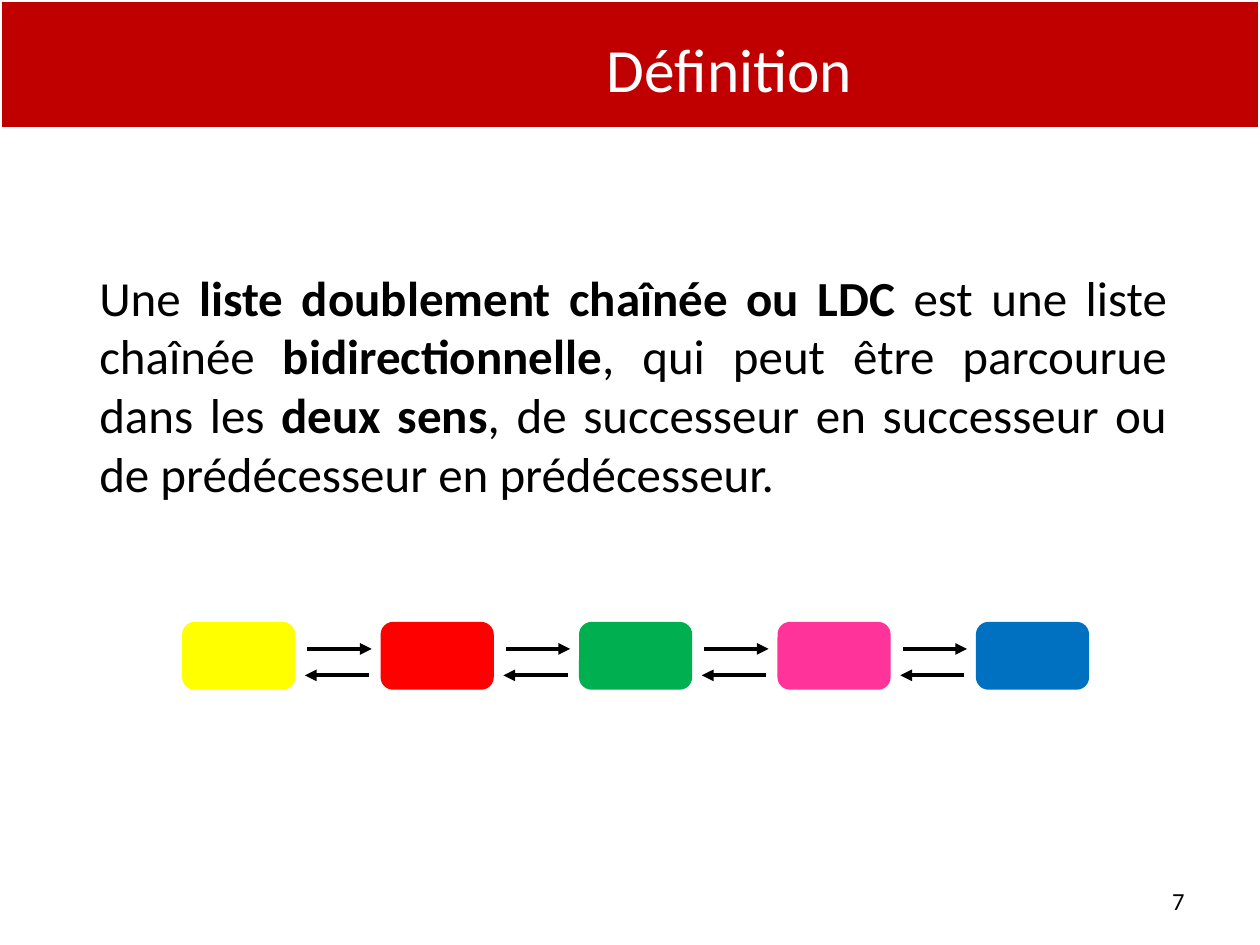
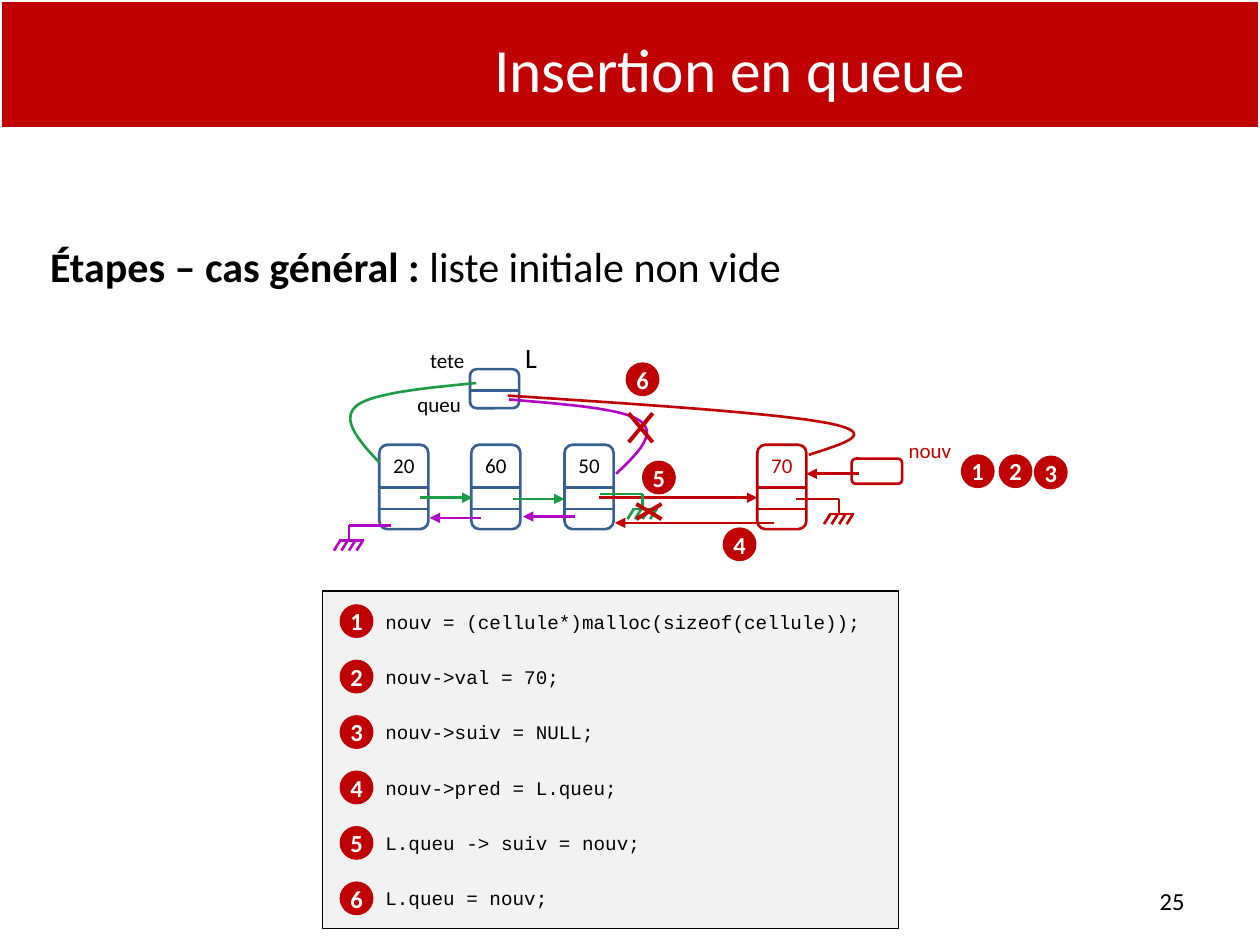
from dataclasses import dataclass
from typing import Any

from lxml import etree
from pptx import Presentation
from pptx.dml.color import RGBColor
from pptx.enum import shapes, text
from pptx.oxml import ns
from pptx.util import Inches, Pt

RED = RGBColor(0xC0, 0x00, 0x00)
WHITE = RGBColor(0xFF, 0xFF, 0xFF)
BLACK = RGBColor(0x00, 0x00, 0x00)
GREY = RGBColor(0xF2, 0xF2, 0xF2)
BLUE = RGBColor(0x36, 0x60, 0x92)
GREEN = RGBColor(0x1C, 0x9C, 0x47)
PURPLE = RGBColor(0xB1, 0x05, 0xC3)
NODE_COLOURS = (
    RGBColor(0xFF, 0xFF, 0x00), RGBColor(0xFF, 0x00, 0x00),
    RGBColor(0x00, 0xB0, 0x50), RGBColor(0xFF, 0x33, 0x99),
    RGBColor(0x00, 0x70, 0xC0),
)

RECT = shapes.MSO_SHAPE.RECTANGLE
ROUNDED = shapes.MSO_SHAPE.ROUNDED_RECTANGLE
OVAL = shapes.MSO_SHAPE.OVAL
LEFT, CENTER = text.PP_ALIGN.LEFT, text.PP_ALIGN.CENTER
RIGHT, JUSTIFY = text.PP_ALIGN.RIGHT, text.PP_ALIGN.JUSTIFY
TOP, MIDDLE = text.MSO_ANCHOR.TOP, text.MSO_ANCHOR.MIDDLE

CELL_W, CELL_H = 0.39, 0.67
BADGE = 0.24
CODE = (
    "nouv = (cellule*)malloc(sizeof(cellule));",
    "nouv->val = 70;",
    "nouv->suiv = NULL;",
    "nouv->pred = L.queu;",
    "L.queu -> suiv = nouv;",
    "L.queu = nouv;",
)


def setup_frame(tf, anchor=TOP, margins=(0.1, 0.05), wrap=True):
    """Set anchor, wrapping and horizontal and vertical margins."""
    tf.word_wrap = wrap
    tf.vertical_anchor = anchor
    tf.margin_left = tf.margin_right = Inches(margins[0])
    tf.margin_top = tf.margin_bottom = Inches(margins[1])


def write(p, runs, size, colour=BLACK, align=LEFT, font="Calibri"):
    """Fill a paragraph with (text, bold) runs."""
    p.alignment = align
    for content, bold in runs:
        r = p.add_run()
        r.text = content
        r.font.name, r.font.size, r.font.bold = font, Pt(size), bold
        r.font.color.rgb = colour


def indent(p, left, first=0):
    """Set the left margin and first-line indent of a paragraph."""
    pPr = p._p.get_or_add_pPr()
    pPr.set("marL", str(Inches(left)))
    pPr.set("indent", str(Inches(first)))


@dataclass
class Region:
    """A box on a slide whose parts are placed from its top left corner."""

    s: Any
    x: float
    y: float
    w: float
    h: float

    def at(self, x, y):
        """Turn a point of the region into slide lengths."""
        return Inches(self.x + x), Inches(self.y + y)

    def shape(self, kind, x, y, w, h, fill=None, line=BLUE, weight=1.5):
        """Add a preset shape, unfilled unless a fill is given."""
        sp = self.s.shapes.add_shape(kind, *self.at(x, y), Inches(w), Inches(h))
        sp.shadow.inherit = False
        if fill is None:
            sp.fill.background()
        else:
            sp.fill.solid()
            sp.fill.fore_color.rgb = fill
        sp.line.color.rgb = line
        sp.line.width = Pt(weight)
        return sp

    def label(self, x, y, w, h, runs, size, colour=BLACK, align=CENTER,
              anchor=TOP, wrap=True):
        """Add a one-paragraph text box and return the paragraph."""
        tf = self.s.shapes.add_textbox(
            *self.at(x, y), Inches(w), Inches(h)).text_frame
        setup_frame(tf, anchor, wrap=wrap)
        write(tf.paragraphs[0], runs, size, colour, align)
        return tf.paragraphs[0]

    def line(self, x1, y1, x2, y2, colour, weight=1.5, arrow=False):
        """Add a straight connector, with an arrowhead at its end if asked."""
        c = self.s.shapes.add_connector(
            shapes.MSO_CONNECTOR.STRAIGHT, *self.at(x1, y1), *self.at(x2, y2))
        c.line.color.rgb = colour
        c.line.width = Pt(weight)
        spPr = c._element.spPr
        if arrow:
            ln = spPr.find(ns.qn("a:ln"))
            etree.SubElement(ln, ns.qn("a:tailEnd"), type="triangle")
        etree.SubElement(spPr, ns.qn("a:effectLst"))

    def curve(self, points, colour, steps=16):
        """Draw chained cubic Bézier segments as one smooth open outline."""
        outline = []
        for i in range(0, len(points) - 1, 3):
            for k in range(1, steps + 1):
                t = k / steps
                weights = ((1 - t) ** 3, 3 * t * (1 - t) ** 2,
                           3 * t ** 2 * (1 - t), t ** 3)
                x, y = (sum(f * q[axis] for f, q in zip(weights, points[i:i + 4]))
                        for axis in (0, 1))
                outline.append(self.at(x, y))
        builder = self.s.shapes.build_freeform(*self.at(*points[0]))
        builder.add_line_segments(outline, close=False)
        sp = builder.convert_to_shape()
        sp.shadow.inherit = False
        sp.fill.background()
        sp.line.color.rgb = colour
        sp.line.width = Pt(1.5)

    def badge(self, number, x, y):
        """Add a numbered red disc."""
        sp = self.shape(OVAL, x, y, BADGE, BADGE, RED, RED, 2)
        setup_frame(sp.text_frame, MIDDLE, (0, 0), wrap=False)
        write(sp.text_frame.paragraphs[0], [(str(number), True)], 14, WHITE, CENTER)

    def cell(self, value, x, y, line=BLUE, colour=BLACK):
        """Add a list cell: a value above two pointer fields."""
        sp = self.shape(ROUNDED, x, y, CELL_W, CELL_H, line=line)
        setup_frame(sp.text_frame, TOP, (0, 0.04), wrap=False)
        write(sp.text_frame.paragraphs[0], [(value, False)], 12, colour, CENTER)
        for dy in (0.34, 0.51):
            self.line(x, y + dy, x + CELL_W, y + dy, line)

    def ground(self, start, stem, y, colour):
        """Add the earth symbol that marks a NULL pointer."""
        bar = y + 0.12
        self.line(start, y, stem, y, colour)
        self.line(stem, y, stem, bar, colour)
        self.line(stem - 0.08, bar, stem + 0.12, bar, colour)
        for i in range(4):
            tooth = stem - 0.07 + 0.06 * i
            self.line(tooth, bar, tooth - 0.05, bar + 0.08, colour)

    def cross(self, x, y, w, h):
        """Strike out a link that is replaced."""
        self.line(x, y, x + w, y + h, RED, 2.25)
        self.line(x + w, y, x, y + h, RED, 2.25)


def new_slide(prs, title, number):
    """Add a slide with the title band and page number."""
    s = prs.slides.add_slide(prs.slide_layouts[6])
    page = Region(s, 0, 0, 10, 7.5)
    page.shape(RECT, 0, 0, page.w, 1.02, RED, WHITE, 2)
    page.label(2.17, 0.19, 7.24, 0.69, [(title, False)], 35.1, WHITE,
               anchor=MIDDLE)
    page.label(7.17, 6.95, 2.33, 0.4, [(str(number), False)], 14, align=RIGHT,
               anchor=MIDDLE)
    return page


def draw_chain(area):
    """Spread the nodes over the area and link neighbours both ways."""
    node_w, arrow_w = 0.87, 0.51
    pitch = (area.w - node_w) / (len(NODE_COLOURS) - 1)
    for i, colour in enumerate(NODE_COLOURS):
        x = i * pitch
        area.shape(ROUNDED, x, 0, node_w, area.h, colour, colour, 2)
        if i < len(NODE_COLOURS) - 1:
            x += node_w + 0.11
            area.line(x, 0.2, x + arrow_w, 0.2, BLACK, 2.25, True)
            area.line(x + arrow_w - 0.02, 0.41, x - 0.02, 0.41, BLACK, 2.25, True)


def draw_insertion(area):
    """Draw the list, the new cell and the six numbered changes."""
    row = 0.93
    for value, x in (("20", 0.41), ("60", 1.14), ("50", 1.88)):
        area.cell(value, x, row)
    area.cell("70", 3.41, row, RED, RED)
    area.shape(ROUNDED, 4.16, 1.04, 0.4, 0.2, line=RED)
    area.shape(ROUNDED, 1.13, 0.33, CELL_W, 0.31)
    area.line(1.13, 0.5, 1.13 + CELL_W, 0.5, BLUE)

    for name, x, y, w, h, size, colour in (
        ("tete", 0.45, 0.11, 1, 0.24, 12, BLACK),
        ("queu", 0.46, 0.46, 0.85, 0.3, 12, BLACK),
        ("L", 1.43, 0.05, 0.37, 0.29, 16, BLACK),
        ("nouv", 4.5, 0.82, 0.56, 0.3, 12, RED),
    ):
        area.label(x, y, w, h, [(name, False)], size, colour, wrap=False)

    for start, end, y, colour in (
        (0.73, 1.15, 1.35, GREEN), (1.47, 1.88, 1.36, GREEN),
        (1.22, 0.81, 1.51, PURPLE), (1.96, 1.55, 1.5, PURPLE),
        (3.54, 2.28, 1.55, RED), (4.22, 3.8, 1.16, RED),
        (2.15, 3.41, 1.35, RED),
    ):
        area.line(start, y, end, y, colour, arrow=True)

    area.ground(0.5, 0.17, 1.57, PURPLE)
    area.ground(2.16, 2.5, 1.32, GREEN)
    area.ground(3.72, 4.06, 1.36, RED)

    area.curve([(1.18, 0.44), (0.77, 0.48), (0.36, 0.52), (0.23, 0.62),
                (0.1, 0.73), (0.25, 0.9), (0.41, 1.07)], GREEN)
    area.curve([(1.44, 0.57), (1.89, 0.61), (2.34, 0.64), (2.48, 0.74),
                (2.62, 0.84), (2.46, 1), (2.29, 1.16)], PURPLE)
    area.curve([(1.43, 0.54), (2.5, 0.61), (3.58, 0.68), (3.98, 0.76),
                (4.38, 0.84), (4.1, 0.92), (3.82, 1.01)], RED)

    area.cross(2.45, 1.4, 0.2, 0.12)
    area.cross(2.39, 0.68, 0.19, 0.23)
    for number, (x, y) in enumerate((
        (5.04, 1.02), (5.34, 1.02), (5.62, 1.03),
        (3.15, 1.6), (2.51, 1.07), (2.38, 0.29),
    ), 1):
        area.badge(number, x, y)


def draw_code(area):
    """Draw the code panel with one numbered statement a row."""
    panel = area.shape(RECT, 0, 0, area.w, area.h, GREY, BLACK, 0.75)
    tf = panel.text_frame
    setup_frame(tf, MIDDLE)
    for i, statement in enumerate(CODE):
        p = tf.add_paragraph() if i else tf.paragraphs[0]
        indent(p, 0.4)
        if i:
            p.space_before = Pt(18.3)
        write(p, [(statement, False)], 11, font="Courier New")
        area.badge(i + 1, 0.15, 0.12 + 0.44 * i)


def definition_slide(prs):
    """Build the definition slide."""
    page = new_slide(prs, "Définition", 7)
    page.label(0.69, 2.07, 8.67, 2.39, [
        ("Une ", False),
        ("liste doublement chaînée ou LDC ", True),
        ("est une liste chaînée ", False),
        ("bidirectionnelle", True),
        (", qui peut être parcourue dans les", False),
        (" deux sens", True),
        (", de successeur en successeur ou de prédécesseur en prédécesseur.",
         False),
    ], 28, align=JUSTIFY)
    draw_chain(Region(page.s, 1.46, 4.95, 7.17, 0.51))


def insertion_slide(prs):
    """Build the slide on inserting at the tail."""
    page = new_slide(prs, "Insertion en queue", 25)
    p = page.label(0.28, 1.86, 9.37, 0.6, [
        ("Étapes – cas général : ", True),
        ("liste initiale non vide", False),
    ], 24, align=JUSTIFY)
    indent(p, 0.4, -0.38)
    draw_code(Region(page.s, 2.56, 4.69, 4.57, 2.68))
    draw_insertion(Region(page.s, 2.6, 2.6, 5.9, 1.9))


def main():
    """Build and save the presentation."""
    prs = Presentation()
    prs.slide_width, prs.slide_height = Inches(10), Inches(7.5)
    definition_slide(prs)
    insertion_slide(prs)
    prs.save("out.pptx")


if __name__ == "__main__":
    main()
